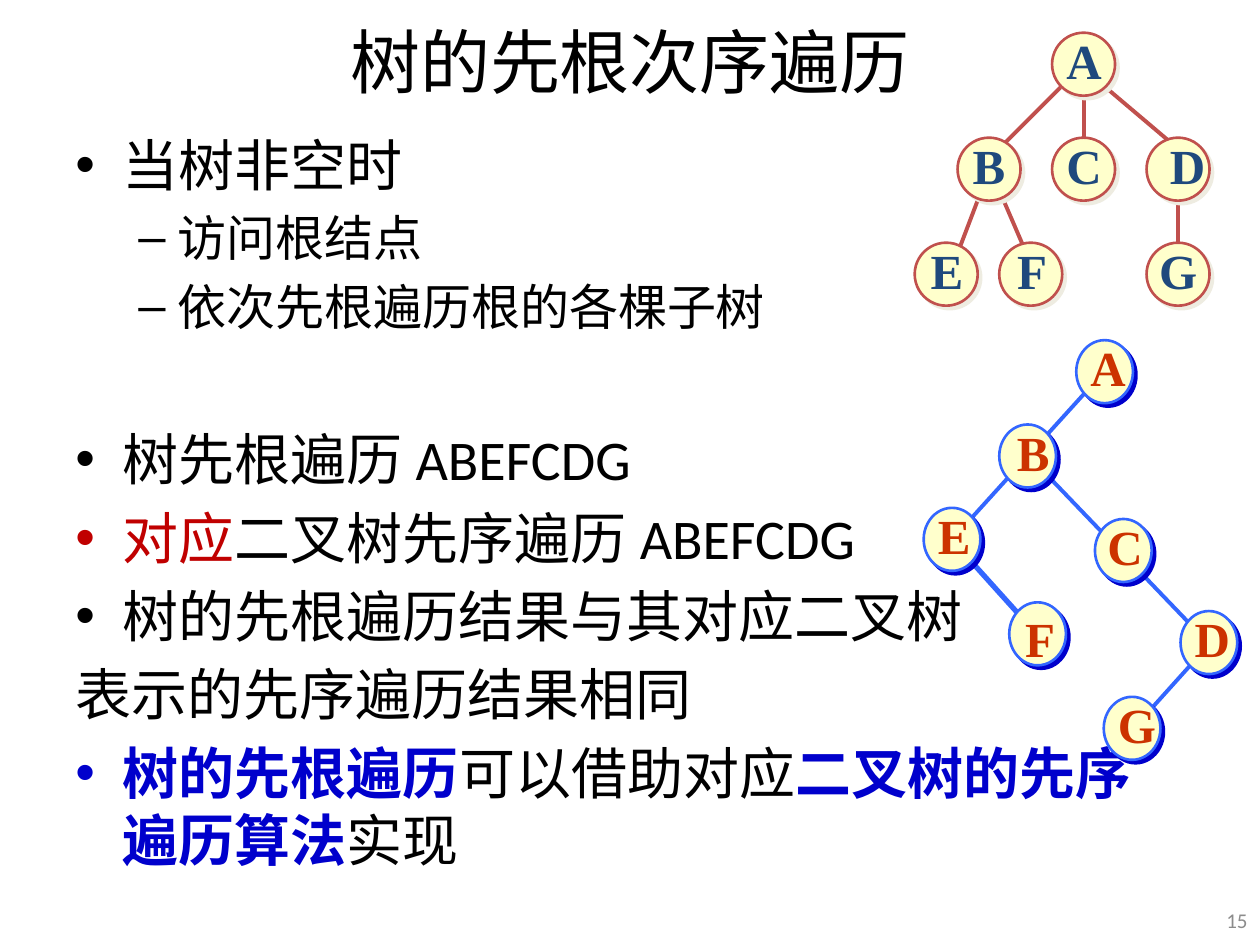
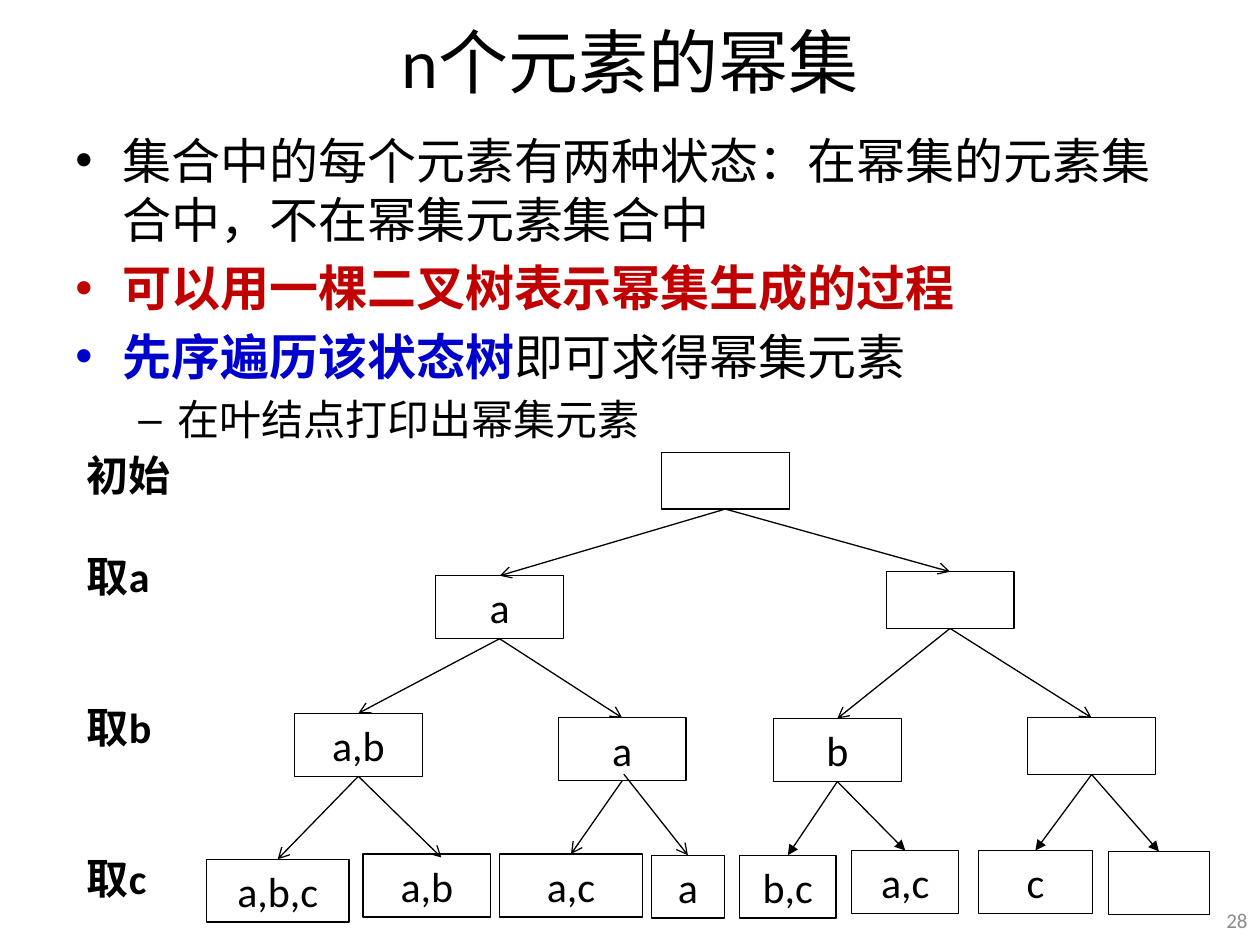
from dataclasses import dataclass

from lxml import etree
from pptx import Presentation
from pptx import util as u
from pptx.dml.color import RGBColor
from pptx.enum import shapes, text
from pptx.oxml import ns

Pt = u.Pt


@dataclass(frozen=True)
class Theme:
    sans: str = "Calibri"
    serif: str = "Times New Roman"
    black: str = "000000"
    red: str = "C00000"
    blue: str = "0000CC"
    grey: str = "8C8C8C"
    node_fill: str = "FFFFCC"
    title_size: int = 40
    large: int = 32
    medium: int = 28
    small: int = 24
    number_size: int = 12
    line_height: float = 1.2
    paragraph_gap: float = 0.2
    thin: float = 0.75
    outline: float = 1.5
    edge: float = 2.25


T = Theme()

SLIDE_SIZE = (720, 540)
TITLE_AREA = (36, -2, 648, 73)
BODY_AREA = (36, 71, 648, 459)
NUMBER_AREA = (689, 511, 31, 29)
LABEL_AREA = (42.5, 253.5, 75.6, 269)

BULLET_STYLES = {
    "main": ("•", 27, -27, 0),
    "sub": ("–", 58.5, -22.5, 1),
    "plain": (None, 0, 0, 0),
}

TRAVERSAL = {
    "title": "树的先根次序遍历",
    "number": "15",
    "body": [
        ("main", T.large, 0, [("当树非空时", T.black, False)]),
        ("sub", T.medium, 0, [("访问根结点", T.black, False)]),
        ("sub", T.medium, 0, [("依次先根遍历根的各棵子树", T.black, False)]),
        ("main", T.large, 1, [("树先根遍历 ABEFCDG", T.black, False)]),
        ("main", T.large, 0, [("对应", T.red, False),
                              ("二叉树先序遍历 ABEFCDG", T.black, False)]),
        ("main", T.large, 0, [("树的先根遍历结果与其对应二叉树", T.black, False)]),
        ("plain", T.large, 0, [("表示的先序遍历结果相同", T.black, False)]),
        ("main", T.large, 0, [("树的先根遍历", T.blue, True),
                              ("可以借助对应", T.black, False),
                              ("二叉树的先序遍历算法", T.blue, True),
                              ("实现", T.black, False)]),
    ],
}

BINARY_TREE = {
    "colors": {"line": "3366FF", "shadow": "0000CC", "letter": "CC3300"},
    "node_size": (32.4, 36),
    "edges": [
        (549.4, 314.6, 581.8, 350.6, 3),
        (685.4, 374.4, 653, 410.4, T.edge),
        (625.7, 218.2, 549.4, 302.4, T.edge),
        (598.3, 271.4, 685.4, 362.2, T.edge),
    ],
    "nodes": [
        ("A", 615, 194.4, 1, 5, 31.7),
        ("B", 571, 242.6, 3, 5, 30),
        ("C", 625.7, 296.6, 0, 5, 31.7),
        ("D", 674.6, 349.2, 1, 5, 31.7),
        ("E", 527.8, 290.2, 1, 5, 30),
        ("F", 576.7, 344.2, 2, 0, 28.8),
        ("G", 630.7, 398.2, 1, 5, 33),
    ],
}

GENERAL_TREE = {
    "colors": {"line": "C0504D", "shadow": "EEECE1", "letter": "1F497D"},
    "node_size": (36, 36),
    "edges": [
        (673.2, 108.7, 673.2, 144.7, T.edge),
        (571, 108.7, 589, 150.5, T.edge),
        (558.7, 114.5, 547.2, 144.7, T.edge),
        (630.7, 49, 673.2, 85, T.edge),
        (619.2, 54.7, 619.2, 85, T.edge),
        (607, 49, 571, 85, T.edge),
    ],
    "nodes": [
        ("A", 601.2, 18.7, 1, 5, 34.6),
        ("B", 547.2, 78.7, 1.4, 5, 33),
        ("C", 601.2, 78.7, 1, 5, 34.6),
        ("D", 655.2, 78.7, 6, 5, 34.6),
        ("E", 522.7, 138.7, 2, 5, 33),
        ("F", 571, 138.7, 3, 5, 31.7),
        ("G", 655.2, 138.7, 0, 5, 36),
    ],
}

POWER_SET = {
    "title": "n个元素的幂集",
    "number": "28",
    "body": [
        ("main", T.medium, 0,
         [("集合中的每个元素有两种状态：在幂集的元素集合中，不在幂集元素集合中", T.black, False)]),
        ("main", T.medium, 0, [("可以用一棵二叉树表示幂集生成的过程", T.red, True)]),
        ("main", T.medium, 0, [("先序遍历该状态树", T.blue, True),
                               ("即可求得幂集元素", T.black, False)]),
        ("sub", T.small, 0, [("在叶结点打印出幂集元素", T.black, False)]),
    ],
}

STEPS = [("初始", 0), ("取a", 1), ("取b", 2), ("取c", 2)]

STATE_LEVELS = [
    [("", 378, 258.5, 73, 32.4)],
    [("a", 249, 329, 73, 36), ("", 506.4, 326.7, 73, 32.4)],
    [("a,b", 168.3, 407.6, 73, 36), ("a", 319, 410.2, 73, 36),
     ("b", 442, 410.6, 73, 36), ("", 587.3, 410.2, 73, 32.4)],
    [("a,b,c", 118, 491, 81.4, 36), ("a,b", 207.4, 488, 73, 36),
     ("a,c", 285.6, 488, 81.4, 36), ("a", 372.2, 488.7, 41.8, 36),
     ("b,c", 422.6, 488.7, 55.2, 36), ("a,c", 486.7, 486, 61.2, 36),
     ("c", 559.2, 486, 65, 36), ("", 633.5, 486.6, 57.6, 36)],
]
ARROW_NUDGES = {(3, 1): (0, 0, 8.3, 2), (3, 3): (1, -3.8, 0, 0)}


def set_format(target, values):
    for name, value in values.items():
        setattr(target, name, value)


def add_xml(parent, tag, **attributes):
    return etree.SubElement(parent, ns.qn(tag), attributes)


def add_run(paragraph, words, size, color=T.black, bold=False, face=T.sans):
    run = paragraph.add_run()
    run.text = words
    set_format(run.font, {"name": face, "size": Pt(size), "bold": bold})
    run.font.color.rgb = RGBColor.from_string(color)


def add_text_area(parent, area, anchor=text.MSO_ANCHOR.TOP, wrap=True):
    frame = parent.add_textbox(*map(Pt, area)).text_frame
    set_format(frame, {"word_wrap": wrap, "vertical_anchor": anchor})
    return frame


def add_caption(parent, area, words, size, align, wrap=True, **look):
    frame = add_text_area(parent, area, text.MSO_ANCHOR.MIDDLE, wrap)
    paragraph = frame.paragraphs[0]
    paragraph.alignment = align
    add_run(paragraph, words, size, **look)


def paragraphs_for(frame, items):
    for index, item in enumerate(items):
        yield (frame.add_paragraph() if index else frame.paragraphs[0]), item


def add_body(slide, items):
    frame = add_text_area(slide.shapes, BODY_AREA)
    for paragraph, (style, size, skipped, runs) in paragraphs_for(frame, items):
        mark, margin, indent, level = BULLET_STYLES[style]
        gap = size * (T.paragraph_gap + skipped * (T.line_height + T.paragraph_gap))
        set_format(paragraph, {"level": level, "space_before": Pt(gap)})
        for words, color, bold in runs:
            add_run(paragraph, words, size, color, bold)
        properties = paragraph._p.get_or_add_pPr()
        properties.set("marL", str(Pt(margin)))
        properties.set("indent", str(Pt(indent)))
        if mark:
            add_xml(properties, "a:buFont", typeface="Arial")
            add_xml(properties, "a:buChar", char=mark)


def add_line(parent, ends, color, width, head=None):
    line = parent.add_connector(shapes.MSO_CONNECTOR.STRAIGHT, *map(Pt, ends))
    line.line.color.rgb = RGBColor.from_string(color)
    line.line.width = Pt(width)
    if head:
        add_xml(line.line._get_or_add_ln(), "a:tailEnd", type=head)
    add_xml(line._element.spPr, "a:effectLst")


def add_outline_shape(parent, kind, area, color, width, fill=None):
    shape = parent.add_shape(kind, *map(Pt, area))
    shape.shadow.inherit = False
    if fill:
        shape.fill.solid()
        shape.fill.fore_color.rgb = RGBColor.from_string(fill)
    else:
        shape.fill.background()
    shape.line.color.rgb = RGBColor.from_string(color)
    shape.line.width = Pt(width)
    return shape


def add_shadow(shape, color):
    effects = shape._element.spPr.find(ns.qn("a:effectLst"))
    shadow = add_xml(effects, "a:outerShdw", dist=str(Pt(2.83)),
                     dir=str(45 * 60000), algn="ctr", rotWithShape="0")
    add_xml(shadow, "a:srgbClr", val=color)


def add_letter_tree(slide, tree):
    group = slide.shapes.add_group_shape().shapes
    colors = tree["colors"]
    for *ends, width in tree["edges"]:
        add_line(group, ends, colors["line"], width)
    for letter, left, top, shift, rise, width in tree["nodes"]:
        node = add_outline_shape(group, shapes.MSO_SHAPE.OVAL,
                                 (left, top, *tree["node_size"]),
                                 colors["line"], T.outline, T.node_fill)
        add_shadow(node, colors["shadow"])
        add_caption(group, (left + shift, top - rise, width, 41), letter, T.medium,
                    text.PP_ALIGN.CENTER, wrap=False,
                    color=colors["letter"], bold=True, face=T.serif)


def add_state_tree(slide):
    group = slide.shapes.add_group_shape().shapes
    for depth, states in enumerate(STATE_LEVELS):
        for index, (members, left, top, width, height) in enumerate(states):
            if depth:
                _, x, y, w, h = STATE_LEVELS[depth - 1][index // 2]
                ends = (x + w / 2, y + h, left + width / 2, top)
                nudge = ARROW_NUDGES.get((depth, index), (0, 0, 0, 0))
                head = "triangle" if depth == 3 and index > 3 else "arrow"
                add_line(group, [a + b for a, b in zip(ends, nudge)],
                         T.black, T.thin, head)
            state = add_outline_shape(group, shapes.MSO_SHAPE.RECTANGLE,
                                      (left, top, width, height), T.black, T.thin)
            if members:
                state.text_frame.vertical_anchor = text.MSO_ANCHOR.TOP
                paragraph = state.text_frame.paragraphs[0]
                paragraph.alignment = text.PP_ALIGN.CENTER
                add_run(paragraph, members, T.small)
    frame = add_text_area(group, LABEL_AREA)
    for paragraph, (step, skipped) in paragraphs_for(frame, STEPS):
        paragraph.space_before = Pt(skipped * T.small * T.line_height)
        add_run(paragraph, step, T.small, bold=True)


def add_slide(deck, content):
    slide = deck.slides.add_slide(deck.slide_layouts[6])
    add_caption(slide.shapes, TITLE_AREA, content["title"], T.title_size,
                text.PP_ALIGN.CENTER)
    add_body(slide, content["body"])
    add_caption(slide.shapes, NUMBER_AREA, content["number"], T.number_size,
                text.PP_ALIGN.RIGHT, color=T.grey)
    return slide


def main():
    deck = Presentation()
    deck.slide_width, deck.slide_height = map(Pt, SLIDE_SIZE)
    traversal = add_slide(deck, TRAVERSAL)
    for tree in (BINARY_TREE, GENERAL_TREE):
        add_letter_tree(traversal, tree)
    add_state_tree(add_slide(deck, POWER_SET))
    deck.save("out.pptx")


if __name__ == "__main__":
    main()
